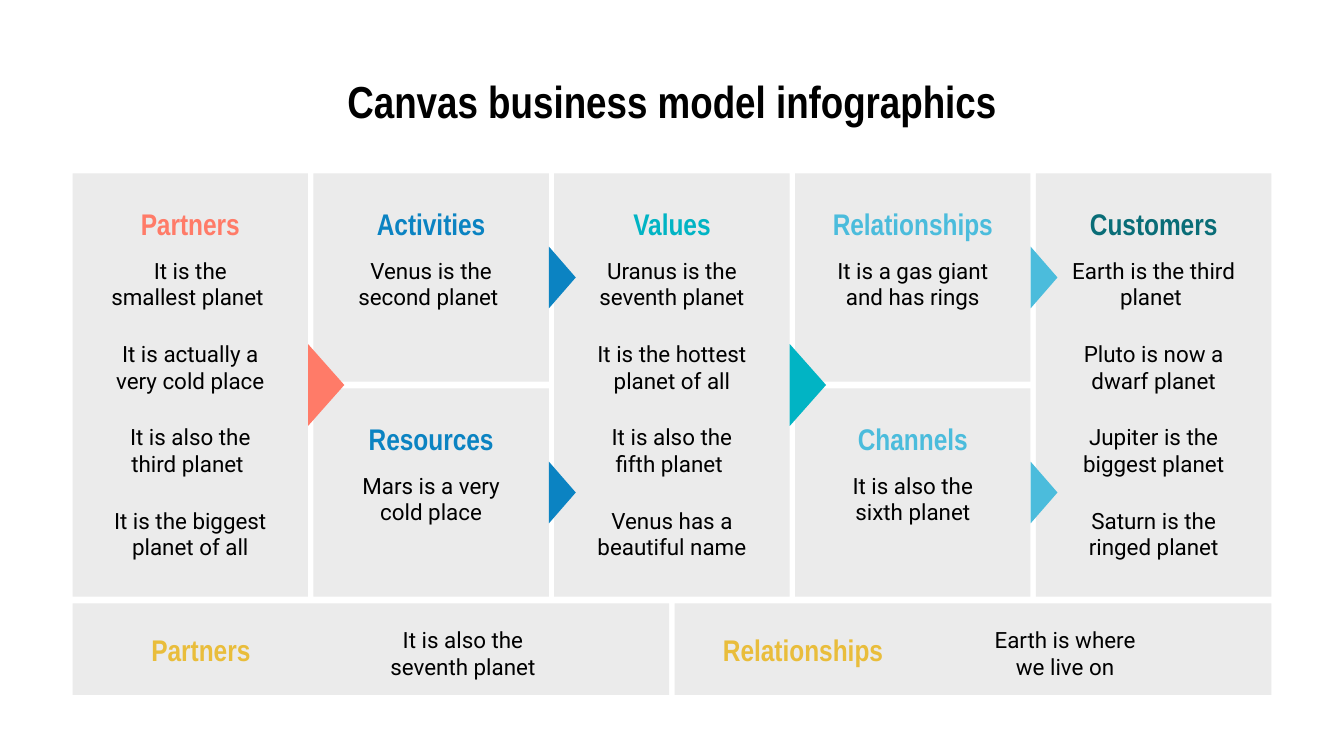
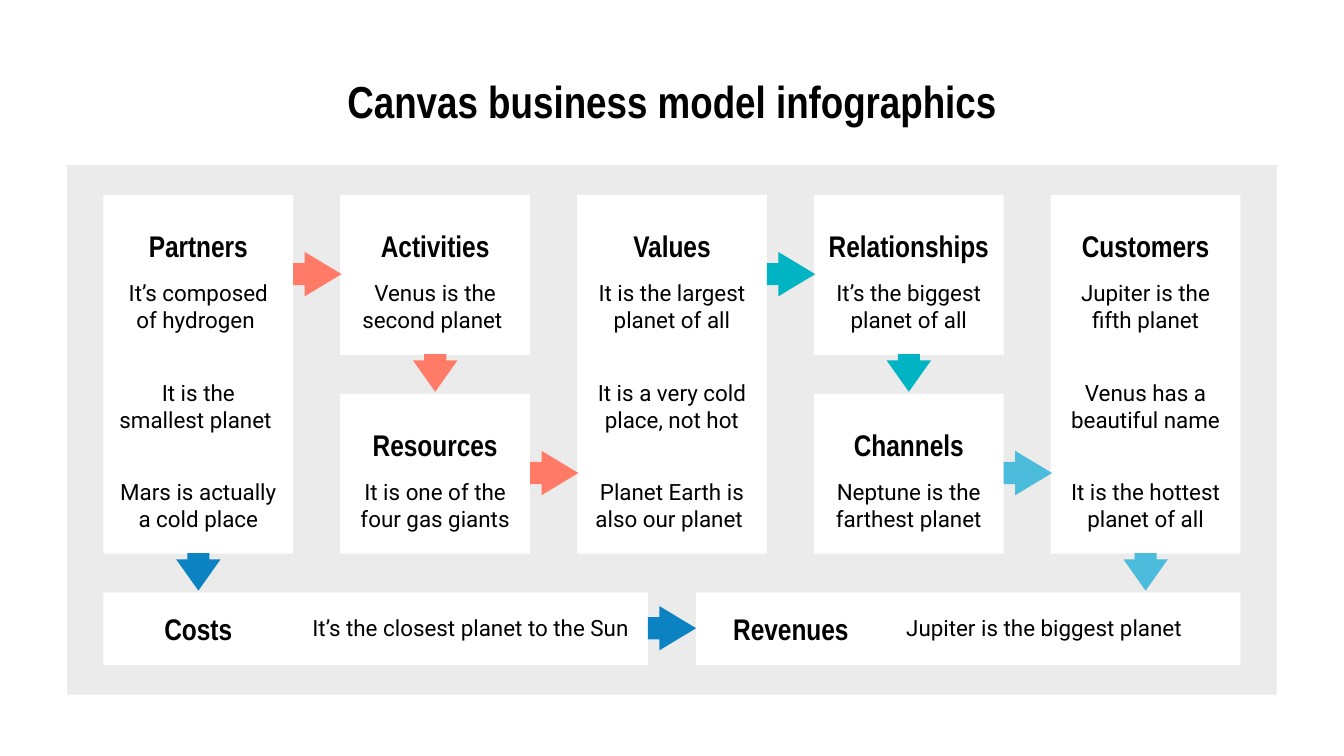
"""Build two business model canvas slides."""
from dataclasses import dataclass

from pptx import Presentation
from pptx.dml.color import RGBColor
from pptx.enum.shapes import MSO_SHAPE
from pptx.enum.text import MSO_ANCHOR, MSO_AUTO_SIZE, PP_ALIGN
from pptx.util import Inches, Pt


@dataclass(frozen=True)
class Theme:
    """Colours, fonts and type sizes shared by the slides."""
    black: str = "000000"
    white: str = "FFFFFF"
    grey: str = "EBEBEB"
    coral: str = "FF7B68"
    blue: str = "0B83C2"
    teal: str = "01B4C4"
    sky: str = "4BBCDC"
    pine: str = "096D77"
    gold: str = "E9BD3B"
    heading_font: str = "Arial Narrow"
    body_font: str = "Roboto"
    title_size: int = 24
    heading_size: int = 16
    body_size: int = 12


@dataclass(frozen=True)
class Box:
    """A rectangle in inches."""
    left: float
    top: float
    width: float
    height: float

    @property
    def right(self):
        """Return the right edge."""
        return self.left + self.width

    @property
    def bottom(self):
        """Return the bottom edge."""
        return self.top + self.height

    @property
    def center(self):
        """Return the horizontal centre."""
        return self.left + self.width / 2

    @property
    def middle(self):
        """Return the vertical centre."""
        return self.top + self.height / 2

    def inner(self, left, top, width, height):
        """Return a box placed relative to this one."""
        return Box(self.left + left, self.top + top, width, height)

    def columns(self, count, gap):
        """Split into equal columns."""
        width = (self.width - gap * (count - 1)) / count
        return [self.inner(i * (width + gap), 0, width, self.height) for i in range(count)]

    def rows(self, count, gap):
        """Split into equal rows."""
        height = (self.height - gap * (count - 1)) / count
        return [self.inner(0, i * (height + gap), self.width, height) for i in range(count)]

    def lengths(self):
        """Return left, top, width and height as lengths."""
        return [Inches(value) for value in (self.left, self.top, self.width, self.height)]


@dataclass(frozen=True)
class CardStyle:
    """Spacing of the parts of a card."""
    fill: str
    heading_top: float
    heading_height: float
    item_top: float
    item_step: float
    item_height: float


THEME = Theme()
TITLE = "Canvas business model infographics"
TITLE_BOX = Box(0.5, 0.45, 9, 0.63)
TEXT_WIDTH = 1.41
PANEL_STYLE = CardStyle(THEME.grey, 0.18, 0.38, 0.52, 0.62, 0.55)
FLOW_STYLE = CardStyle(THEME.white, 0.14, 0.47, 0.53, 0.74, 0.66)

PANEL_COLUMNS = [
    [("Partners", THEME.coral, ["It is the smallest planet ", "It is actually a very cold place",
                                "It is also the third planet ", "It is the biggest planet of all"])],
    [("Activities", THEME.blue, ["Venus is the second planet "]),
     ("Resources", THEME.blue, ["Mars is a very cold place"])],
    [("Values", THEME.teal, ["Uranus is the seventh planet", "It is the hottest planet of all",
                             "It is also the fifth planet ", "Venus has a beautiful name"])],
    [("Relationships", THEME.sky, ["It is a gas giant and has rings"]),
     ("Channels", THEME.sky, ["It is also the sixth planet"])],
    [("Customers", THEME.pine, ["Earth is the third planet ", "Pluto is now a dwarf planet",
                                "Jupiter is the biggest planet", "Saturn is the ringed planet"])],
]
PANEL_FOOTERS = [("Partners", "It is also the seventh planet"),
                 ("Relationships", "Earth is where we live on")]

FLOW_COLUMNS = [
    [("Partners", THEME.black, ["It’s composed of hydrogen ", "It is the smallest planet ",
                                "Mars is actually a cold place"])],
    [("Activities", THEME.black, ["Venus is the second planet "]),
     ("Resources", THEME.black, ["It is one of the four gas giants"])],
    [("Values", THEME.black, ["It is the largest planet of all", "It is a very cold place, not hot",
                              "Planet Earth is also our planet "])],
    [("Relationships", THEME.black, ["It’s the biggest planet of all"]),
     ("Channels", THEME.black, ["Neptune is the farthest planet"])],
    [("Customers", THEME.black, ["Jupiter is the fifth planet", "Venus has a beautiful name",
                                 "It is the hottest planet of all"])],
]
FLOW_FOOTERS = [("Costs", "It’s the closest planet to the Sun ", PP_ALIGN.RIGHT),
                ("Revenues", "Jupiter is the biggest planet ", PP_ALIGN.CENTER)]


def add_block(page, kind, box, color):
    """Add a flat filled shape."""
    shape = page.shapes.add_shape(kind, *box.lengths())
    shape.shadow.inherit = False
    shape.fill.solid()
    shape.fill.fore_color.rgb = RGBColor.from_string(color)
    shape.line.fill.background()
    return shape


def write(shape, text, size, font, color, bold, align, anchor):
    """Fill a shape with one formatted paragraph."""
    frame = shape.text_frame
    frame.word_wrap = True
    frame.auto_size = MSO_AUTO_SIZE.NONE
    frame.vertical_anchor = anchor
    frame.margin_left = frame.margin_right = Inches(0.1)
    frame.margin_top = frame.margin_bottom = Inches(0.1)
    para = frame.paragraphs[0]
    para.text = text
    para.alignment = align
    para.font.size = Pt(size)
    para.font.name = font
    para.font.bold = bold
    para.font.color.rgb = RGBColor.from_string(color)


def add_heading(page, box, text, color):
    """Add a bold card heading."""
    write(page.shapes.add_textbox(*box.lengths()), text, THEME.heading_size, THEME.heading_font,
          color, True, PP_ALIGN.CENTER, MSO_ANCHOR.MIDDLE)


def add_body(page, box, text, align=PP_ALIGN.CENTER):
    """Add a body text."""
    write(page.shapes.add_textbox(*box.lengths()), text, THEME.body_size, THEME.body_font,
          THEME.black, False, align, MSO_ANCHOR.TOP)


def add_page(deck):
    """Add a slide with the shared title."""
    page = deck.slides.add_slide(deck.slide_layouts[5])
    title = page.shapes.title
    title.left, title.top, title.width, title.height = TITLE_BOX.lengths()
    write(title, TITLE, THEME.title_size, THEME.heading_font, THEME.black, True,
          PP_ALIGN.CENTER, MSO_ANCHOR.TOP)
    return page


def add_card(page, box, style, heading, color, items):
    """Add a card with its heading and items."""
    add_block(page, MSO_SHAPE.RECTANGLE, box, style.fill)
    side = (box.width - TEXT_WIDTH) / 2
    add_heading(page, box.inner(side, style.heading_top, TEXT_WIDTH, style.heading_height),
                heading, color)
    for index, item in enumerate(items):
        top = style.item_top + index * style.item_step
        add_body(page, box.inner(side, top, TEXT_WIDTH, style.item_height), item)


def add_board(page, box, style, columns, column_gap, row_gap):
    """Add columns of cards and return their boxes by heading."""
    boxes = {}
    for column, cards in zip(box.columns(len(columns), column_gap), columns):
        for card_box, card in zip(column.rows(len(cards), row_gap), cards):
            add_card(page, card_box, style, *card)
            boxes[card[0]] = card_box
    return boxes


def add_pointer(page, box, color, depth, spread):
    """Add a triangle pointing out of the right edge of a card."""
    area = Box(box.right + (depth - spread) / 2, box.middle - depth / 2, spread, depth)
    add_block(page, MSO_SHAPE.ISOSCELES_TRIANGLE, area, color).rotation = 90


def add_arrow(page, box, color, down):
    """Add an arrow leaving a card downwards or to the right."""
    if down:
        area = Box(box.center - 0.14, box.bottom - 0.03, 0.28, 0.33)
    else:
        area = Box(box.right, box.middle - 0.17, 0.36, 0.33)
    arrow = add_block(page, MSO_SHAPE.RIGHT_ARROW, area, color)
    arrow.adjustments[0] = 0.5
    arrow.adjustments[1] = 0.83
    arrow.rotation = 90 if down else 0


def build_panels(deck):
    """Build the slide of grey panels joined by pointers."""
    page = add_page(deck)
    boxes = add_board(page, Box(0.54, 1.29, 8.92, 3.15), PANEL_STYLE, PANEL_COLUMNS, 0.04, 0.05)
    for cards in PANEL_COLUMNS[:-1]:
        depth, spread = (0.27, 0.61) if len(cards) == 1 else (0.2, 0.46)
        for heading, color, _ in cards:
            add_pointer(page, boxes[heading], color, depth, spread)
    for box, (heading, text) in zip(Box(0.54, 4.49, 8.92, 0.68).columns(2, 0.04), PANEL_FOOTERS):
        add_block(page, MSO_SHAPE.RECTANGLE, box, THEME.grey)
        add_heading(page, box.inner(0.25, 0.15, TEXT_WIDTH, 0.38), heading, THEME.gold)
        add_body(page, box.inner(2.2, 0.07, TEXT_WIDTH, 0.55), text)


def build_flow(deck):
    """Build the slide of white cards joined by arrows."""
    page = add_page(deck)
    add_block(page, MSO_SHAPE.RECTANGLE, Box(0.5, 1.23, 9, 3.94), THEME.grey)
    boxes = add_board(page, Box(0.77, 1.45, 8.46, 2.67), FLOW_STYLE, FLOW_COLUMNS, 0.35, 0.29)
    footers = Box(0.77, 4.41, 8.46, 0.54).columns(2, 0.36)
    for box, (heading, text, align) in zip(footers, FLOW_FOOTERS):
        add_block(page, MSO_SHAPE.RECTANGLE, box, THEME.white)
        add_heading(page, box.inner(0, 0.03, TEXT_WIDTH, 0.47), heading, THEME.black)
        add_body(page, box.inner(1.17, 0.06, 2.88, 0.4), text, align)
        boxes[heading] = box
    for heading in ("Partners", "Values"):
        boxes[heading + " top"] = boxes[heading].rows(2, 0.29)[0]
    for start, color, down in [
        ("Partners top", THEME.coral, False), ("Activities", THEME.coral, True),
        ("Resources", THEME.coral, False), ("Partners", THEME.blue, True),
        ("Costs", THEME.blue, False), ("Values top", THEME.teal, False),
        ("Relationships", THEME.teal, True), ("Channels", THEME.sky, False),
        ("Customers", THEME.sky, True),
    ]:
        add_arrow(page, boxes[start], color, down)


def main():
    """Build and save the deck."""
    deck = Presentation()
    deck.slide_width = Inches(10)
    deck.slide_height = Inches(10 * 9 / 16)
    build_panels(deck)
    build_flow(deck)
    deck.save("out.pptx")


if __name__ == "__main__":
    main()
